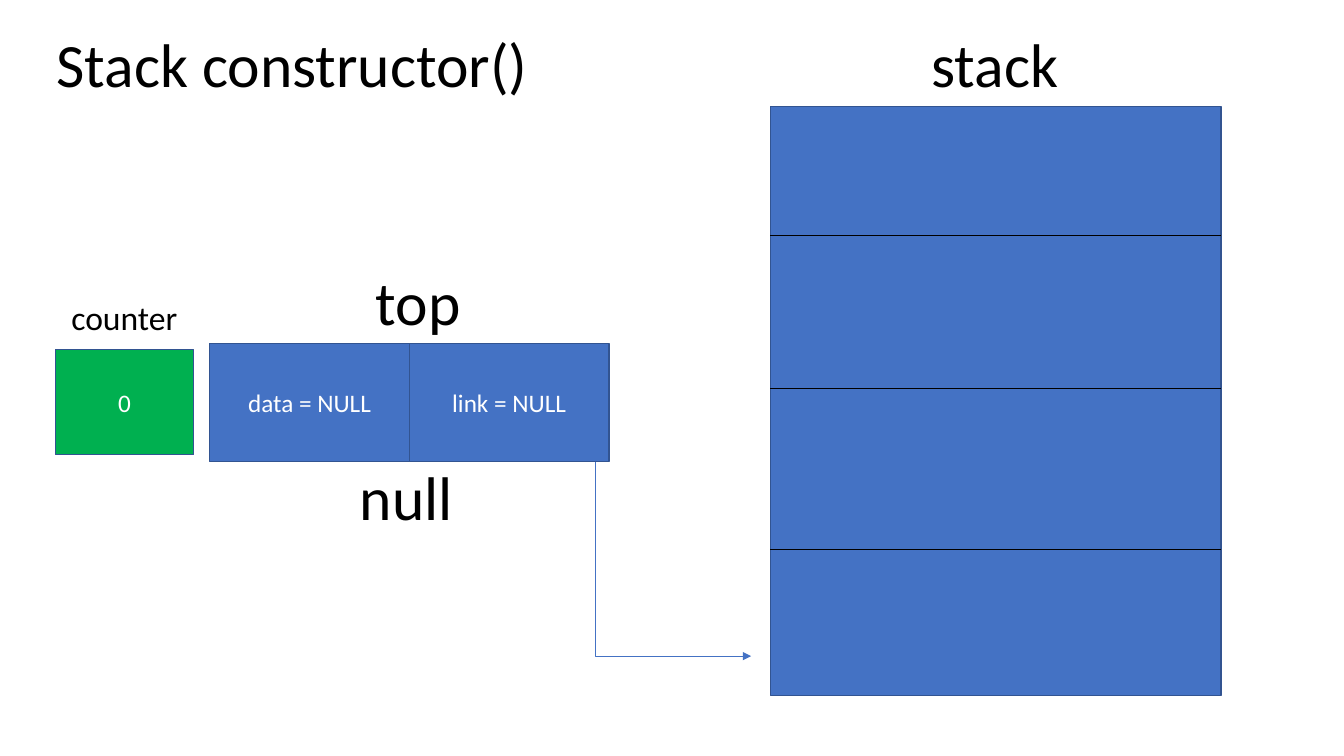
from lxml.etree import SubElement
from pptx import Presentation
from pptx.dml.color import RGBColor
from pptx.enum.shapes import MSO_CONNECTOR as CONNECTOR, MSO_SHAPE as SHAPE
from pptx.enum.text import MSO_ANCHOR as ANCHOR, MSO_AUTO_SIZE as AUTO_SIZE, PP_ALIGN as ALIGN
from pptx.oxml.ns import qn
from pptx.util import Inches, Pt

FONT = "Calibri"
BLUE = RGBColor(0x44, 0x72, 0xC4)
DARK_BLUE = RGBColor(0x32, 0x54, 0x91)
GREEN = RGBColor(0x00, 0xB0, 0x50)
BLACK = RGBColor(0, 0, 0)
WHITE = RGBColor(0xFF, 0xFF, 0xFF)


def write(frame, text, size, color, align):
    frame.text = text
    paragraph = frame.paragraphs[0]
    paragraph.alignment = align
    font = paragraph.runs[0].font
    font.name, font.size = FONT, Pt(size)
    font.color.rgb = color


def place(shape, left, top, width, height):
    shape.left, shape.top = Inches(left), Inches(top)
    shape.width, shape.height = Inches(width), Inches(height)


def add_title(slide, text, left, top, width, height):
    title = slide.shapes.title
    place(title, left, top, width, height)
    frame = title.text_frame
    write(frame, text, 44, BLACK, ALIGN.LEFT)
    frame.vertical_anchor = ANCHOR.TOP
    frame.auto_size = AUTO_SIZE.NONE
    frame.word_wrap = False


def add_label(slide, text, left, top, width, height, size=44):
    label = slide.shapes.add_textbox(
        Inches(left), Inches(top), Inches(width), Inches(height))
    write(label.text_frame, text, size, BLACK, ALIGN.LEFT)
    label.text_frame.word_wrap = True


def add_box(slide, left, top, width, height, fill=BLUE, text=None):
    box = slide.shapes.add_shape(
        SHAPE.RECTANGLE, Inches(left), Inches(top), Inches(width), Inches(height))
    box.shadow.inherit = False
    box.fill.solid()
    box.fill.fore_color.rgb = fill
    box.line.color.rgb = DARK_BLUE
    box.line.width = Pt(1)
    if text:
        write(box.text_frame, text, 18, WHITE, ALIGN.CENTER)
        box.text_frame.vertical_anchor = ANCHOR.MIDDLE


def add_line(slide, kind, start, end, color):
    line = slide.shapes.add_connector(
        kind, *(Inches(value) for value in (*start, *end)))
    line.line.color.rgb = color
    line.line.width = Pt(0.5)
    SubElement(line._element.spPr, qn("a:effectLst"))
    return line


def add_corner_arrow(slide, start, end):
    """Arrow that runs down from start, then right to end."""
    across, down = end[0] - start[0], end[1] - start[1]
    middle_x, middle_y = (start[0] + end[0]) / 2, (start[1] + end[1]) / 2
    # The elbow is laid out sideways, then turned a quarter about its centre
    arrow = add_line(slide, CONNECTOR.ELBOW,
                     (middle_x + down / 2, middle_y - across / 2),
                     (middle_x - down / 2, middle_y + across / 2), BLUE)
    properties = arrow._element.spPr
    properties.find(qn("a:xfrm")).set("rot", str(270 * 60000))
    bend = properties.find(qn("a:prstGeom")).get_or_add_avLst()
    SubElement(bend, qn("a:gd"), name="adj1", fmla="val 100000")
    SubElement(properties.find(qn("a:ln")), qn("a:tailEnd"), type="triangle")


def main():
    deck = Presentation()
    deck.slide_width, deck.slide_height = Inches(13.33), Inches(7.5)
    slide = deck.slides.add_slide(deck.slide_layouts.get_by_name("Title Only"))
    add_title(slide, "Stack constructor()", 0.46, 0.21, 4.93, 0.84)

    # Counter
    add_box(slide, 0.55, 3.47, 1.37, 1.04, GREEN, "0")
    add_label(slide, "counter", 0.61, 2.9, 2.17, 0.5, size=24)

    # Top node with its two fields
    field_width = 1.98
    for index, field in enumerate(("data = NULL", "link = NULL")):
        add_box(slide, 2.08 + index * field_width, 3.41, field_width, 1.17, text=field)
    add_label(slide, "top", 3.63, 2.57, 1.05, 0.84)
    add_label(slide, "null", 3.47, 4.5, 1.18, 0.84)

    # Stack with its dividers
    stack_left, stack_width = 7.64, 4.47
    add_box(slide, stack_left, 1.06, stack_width, 5.84)
    add_label(slide, "stack", 9.14, 0.21, 1.47, 0.84)
    for divider_y in (2.34, 3.85, 5.45):
        add_line(slide, CONNECTOR.STRAIGHT, (stack_left, divider_y),
                 (stack_left + stack_width, divider_y), BLACK)

    # Link from the top node to the stack
    add_corner_arrow(slide, (5.9, 4.58), (7.45, 6.51))

    deck.save("out.pptx")


main()
